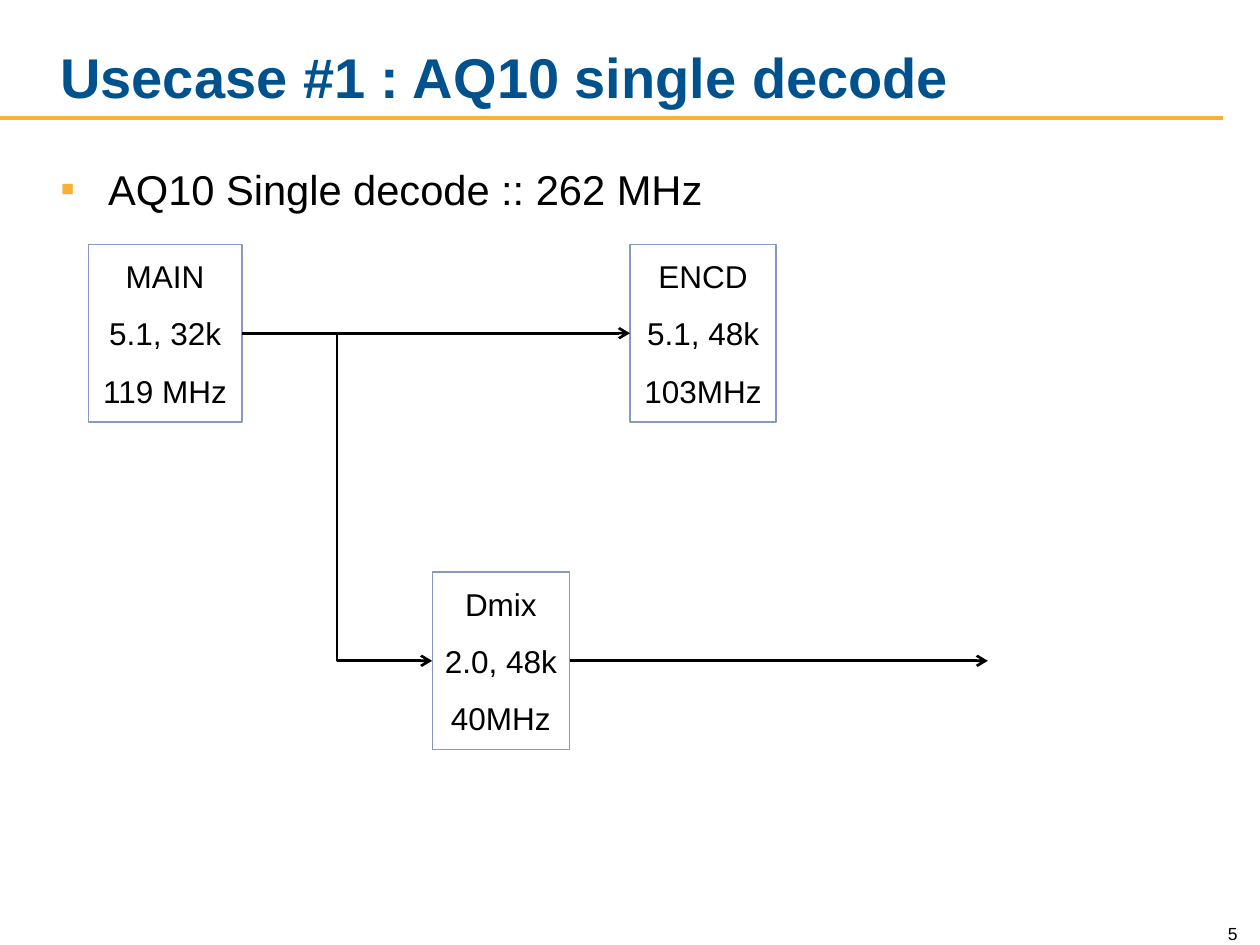
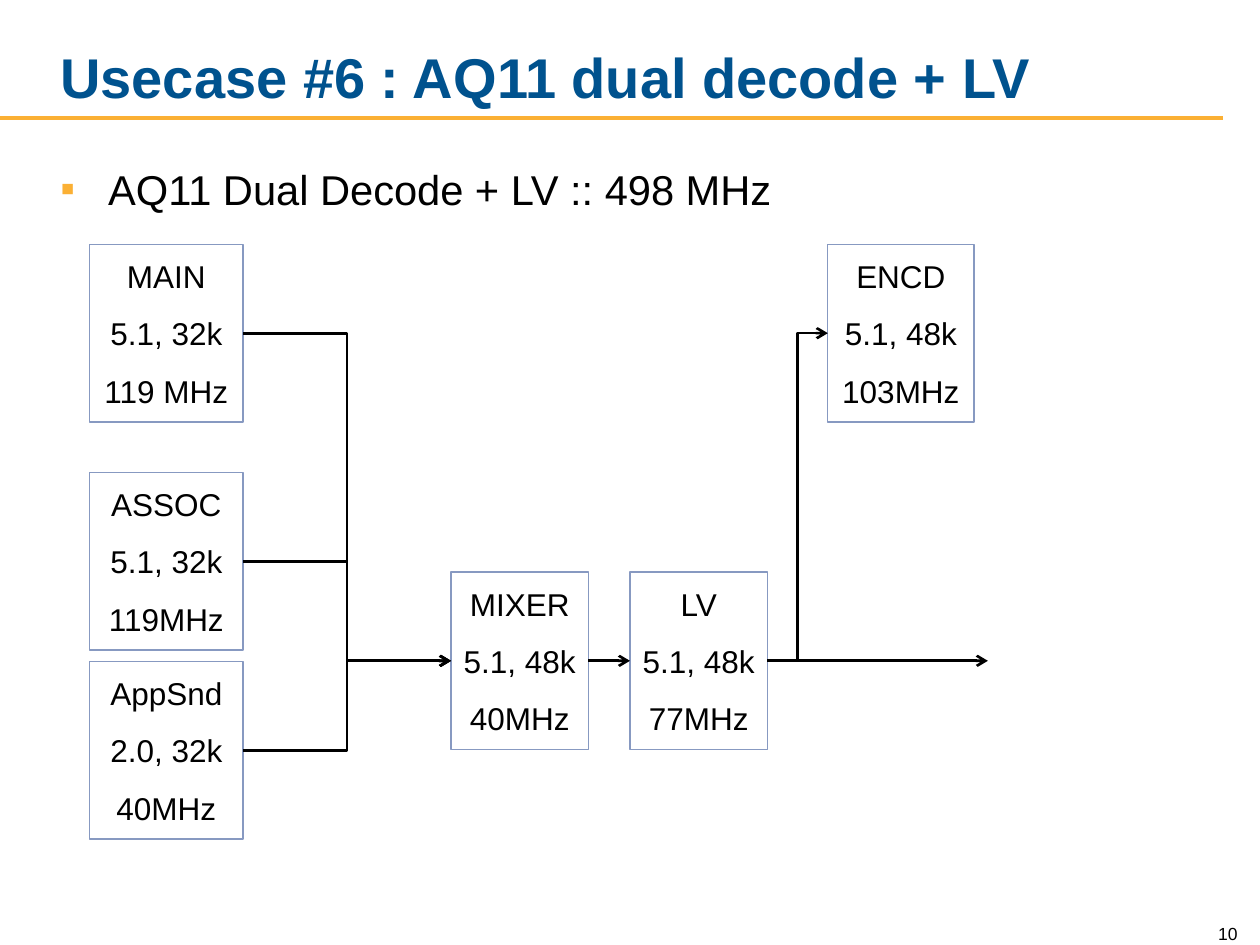
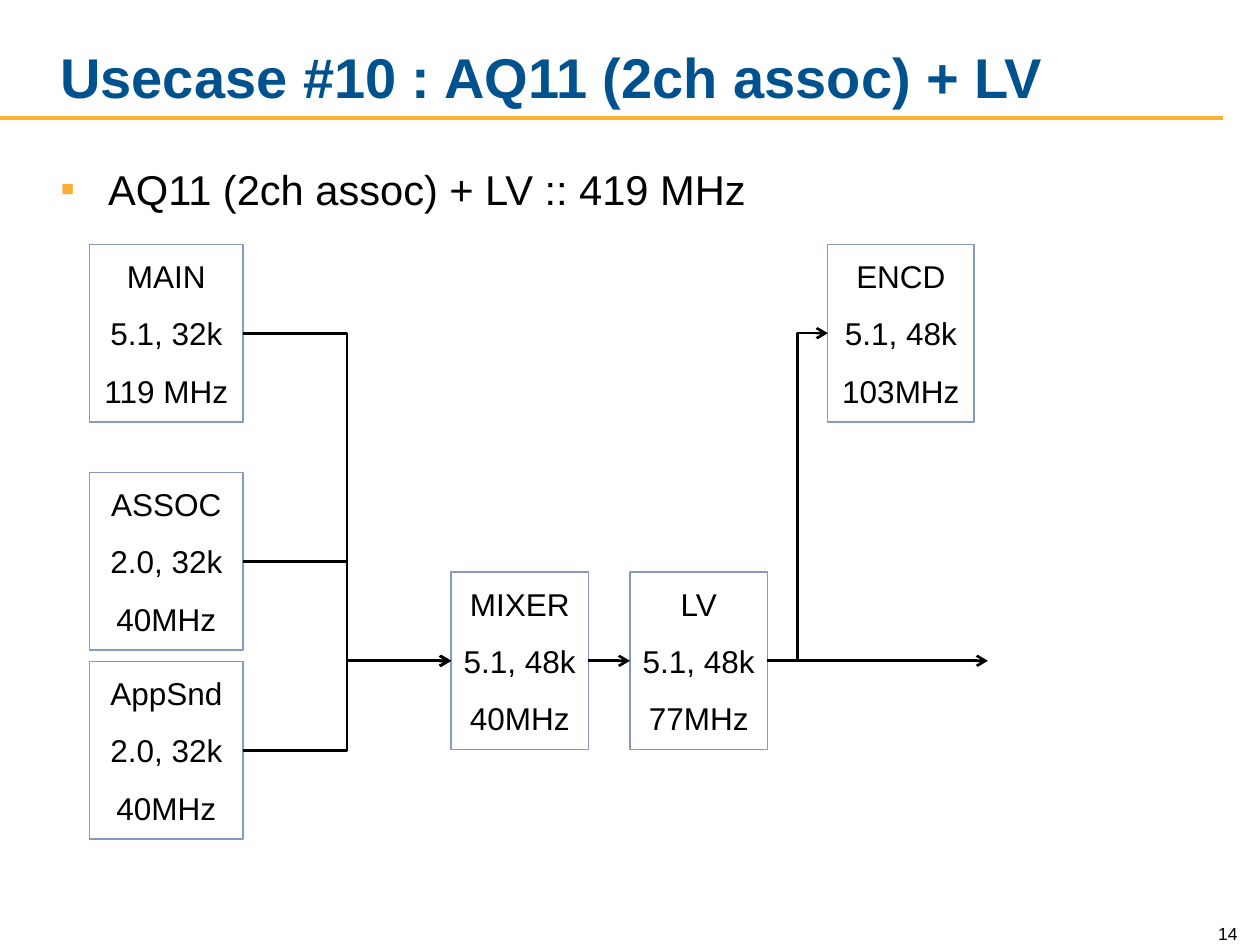
from lxml.etree import SubElement
from pptx import Presentation
from pptx.dml.color import RGBColor
from pptx.enum.shapes import MSO_CONNECTOR, MSO_SHAPE
from pptx.enum.text import MSO_ANCHOR, PP_ALIGN
from pptx.oxml.ns import qn
from pptx.util import Inches, Pt

BLUE, GOLD, EDGE, BLACK, WHITE = "00528E", "FBB034", "8799C1", "000000", "FFFFFF"

cols = [(0.71, 1.22), (3.43, 1.09), (3.58, 1.09), (5, 1.09), (5, 1.16), (6.57, 1.16), (0.7, 1.22)]
rows = [1.94, 3.75, 4.54, 5.25]
BOX_H = 1.41
OUT_X = 7.84

dual_links = [("MAIN", "MIXER"), ("ASSOC", "MIXER"), ("AppSnd", "MIXER"),
              ("MIXER", "LV"), ("LV", "ENCD"), ("LV", None)]


def dual_boxes(assoc):
    return [(0, 0, "MAIN", "5.1, 32k", "119 MHz"), (5, 0, "ENCD", "5.1, 48k", "103MHz"),
            (0, 1, "ASSOC", *assoc), (0, 3, "AppSnd", "2.0, 32k", "40MHz"),
            (2, 2, "MIXER", "5.1, 48k", "40MHz"), (3, 2, "LV", "5.1, 48k", "77MHz")]


slides = [
    (5, "Usecase #1 : AQ10 single decode", "AQ10 Single decode :: 262 MHz",
     [(6, 0, "MAIN", "5.1, 32k", "119 MHz"), (4, 0, "ENCD", "5.1, 48k", "103MHz"),
      (1, 2, "Dmix", "2.0, 48k", "40MHz")],
     [("MAIN", "ENCD"), ("MAIN", "Dmix"), ("Dmix", None)]),
    (10, "Usecase #6 : AQ11 dual decode + LV", "AQ11 Dual Decode + LV :: 498 MHz",
     dual_boxes(("5.1, 32k", "119MHz")), dual_links),
    (14, "Usecase #10 : AQ11 (2ch assoc) + LV", "AQ11 (2ch assoc) + LV :: 419 MHz",
     dual_boxes(("2.0, 32k", "40MHz")), dual_links),
]


def write(sp, lines, size, color=BLACK, anchor=MSO_ANCHOR.TOP, align=PP_ALIGN.LEFT,
          before=0, bold=False):
    tf = sp.text_frame
    tf.word_wrap = True
    tf.vertical_anchor = anchor
    tf.text = "\n".join(lines)
    for p in tf.paragraphs:
        p.alignment = align
        p.space_before = Pt(before)
        font = p.runs[0].font
        for name, value in {"name": "Arial", "size": Pt(size), "bold": bold}.items():
            setattr(font, name, value)
        font.color.rgb = RGBColor.from_string(color)
    return tf


prs = Presentation()
prs.slide_width, prs.slide_height = Inches(10), Inches(7.5)

for number, title, summary, boxes, links in slides:
    s = prs.slides.add_slide(prs.slide_layouts[6])

    rule = s.shapes.add_connector(MSO_CONNECTOR.STRAIGHT, 0, Inches(0.94), Inches(9.71), Inches(0.94))
    rule.line.color.rgb = RGBColor.from_string(GOLD)
    rule.line.width = Pt(2.25)
    SubElement(rule._element.spPr, qn("a:effectLst"))

    sp = s.shapes.add_textbox(*map(Inches, (0.38, 0.17, 8.17, 0.75)))
    write(sp, [title], 32, BLUE, MSO_ANCHOR.BOTTOM, bold=True)

    sp = s.shapes.add_textbox(*map(Inches, (0.38, 1.25, 9.08, 0.53)))
    pPr = write(sp, [summary], 23.8, before=7).paragraphs[0]._p.get_or_add_pPr()
    pPr.set("marL", str(Inches(0.38)))
    pPr.set("indent", str(-Inches(0.38)))
    SubElement(SubElement(pPr, qn("a:buClr")), qn("a:srgbClr"), val=GOLD)
    SubElement(pPr, qn("a:buFont"), typeface="Arial")
    SubElement(pPr, qn("a:buChar"), char="▪")

    sp = s.shapes.add_textbox(*map(Inches, (9.42, 7.24, 0.5, 0.3)))
    write(sp, [str(number)], 10, anchor=MSO_ANCHOR.BOTTOM, align=PP_ALIGN.RIGHT)

    nodes = {}
    for col, row, *lines in boxes:
        left, width = cols[col]
        sp = s.shapes.add_shape(MSO_SHAPE.RECTANGLE, *map(Inches, (left, rows[row], width, BOX_H)))
        sp.shadow.inherit = False
        sp.fill.solid()
        sp.fill.fore_color.rgb = RGBColor.from_string(WHITE)
        sp.line.color.rgb = RGBColor.from_string(EDGE)
        sp.line.width = Pt(0.75)
        write(sp, lines, 18, anchor=MSO_ANCHOR.MIDDLE, align=PP_ALIGN.CENTER, before=11.2)
        nodes[lines[0]] = sp

    for start, end in links:
        out_y = nodes[start].top + nodes[start].height // 2
        link = s.shapes.add_connector(MSO_CONNECTOR.ELBOW, 0, out_y, Inches(OUT_X), out_y)
        link.begin_connect(nodes[start], 3)
        if end:
            link.end_connect(nodes[end], 1)
        link.line.color.rgb = RGBColor.from_string(BLACK)
        link.line.width = Pt(1.5)
        SubElement(link.line._get_or_add_ln(), qn("a:tailEnd"), type="arrow")
        SubElement(link._element.spPr, qn("a:effectLst"))

prs.save("out.pptx")
